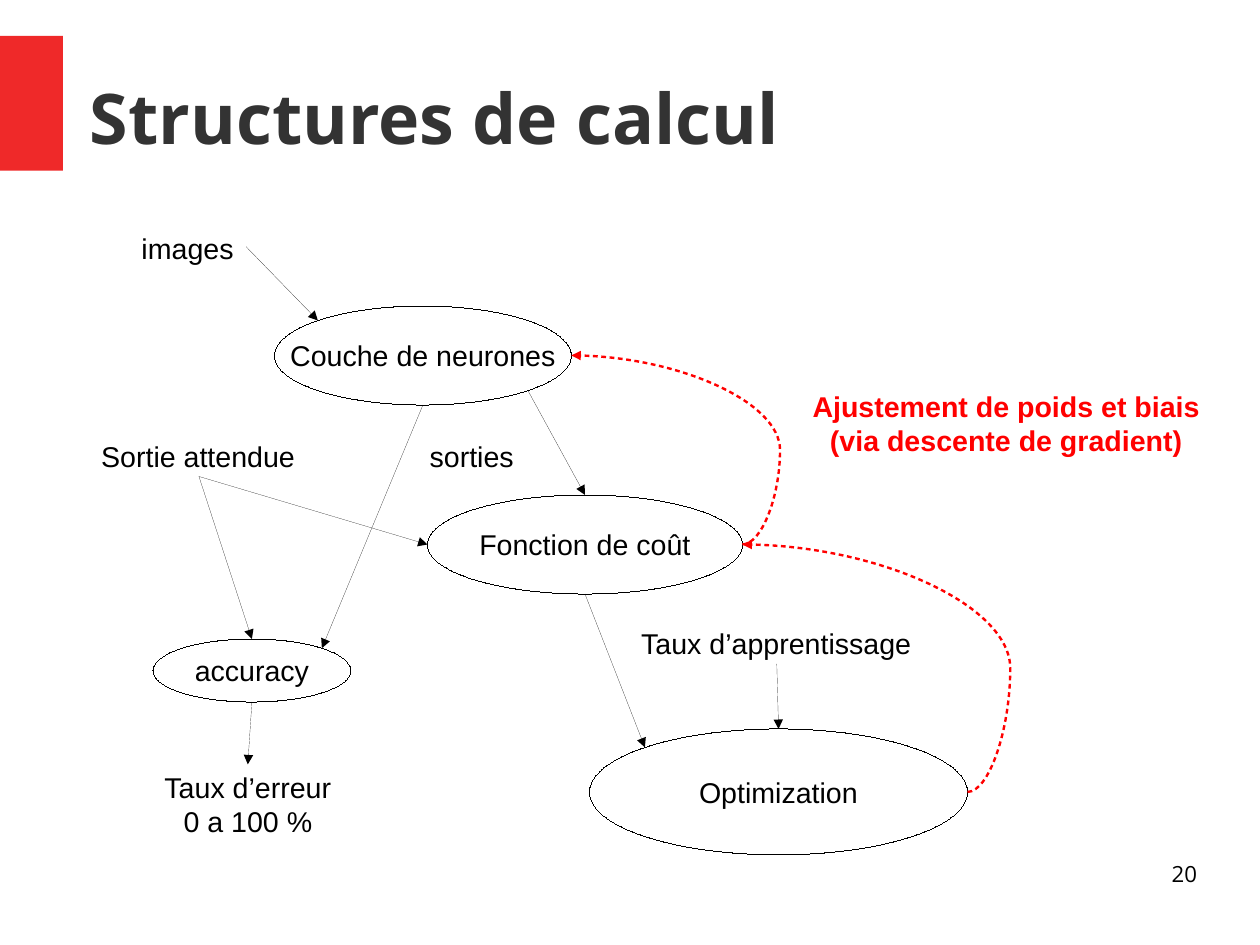
from dataclasses import dataclass
from math import sqrt

from lxml import etree
from pptx import Presentation
from pptx.dml.color import RGBColor
from pptx.enum.shapes import MSO_CONNECTOR, MSO_SHAPE
from pptx.enum.text import MSO_ANCHOR, MSO_AUTO_SIZE, PP_ALIGN
from pptx.oxml.ns import qn
from pptx.util import Cm, Pt

WIDTH, HEIGHT = Cm(28), Cm(21)
STRAIGHT, CURVE = MSO_CONNECTOR.STRAIGHT, MSO_CONNECTOR.CURVE
RECTANGLE, OVAL = MSO_SHAPE.RECTANGLE, MSO_SHAPE.OVAL
MIDDLE, TOP_ANCHOR = MSO_ANCHOR.MIDDLE, MSO_ANCHOR.TOP
LEFT_ALIGN, CENTER, RIGHT_ALIGN = PP_ALIGN.LEFT, PP_ALIGN.CENTER, PP_ALIGN.RIGHT
NO_FIT, GROW = MSO_AUTO_SIZE.NONE, MSO_AUTO_SIZE.SHAPE_TO_FIT_TEXT

# Anchor points, as offsets from the centre in half widths and half heights
DIAGONAL = sqrt(0.5)
TOP, LEFT, BOTTOM, RIGHT = (0, -1), (-1, 0), (0, 1), (1, 0)
TOP_LEFT, TOP_RIGHT = (-DIAGONAL, -DIAGONAL), (DIAGONAL, -DIAGONAL)
BOTTOM_RIGHT = (DIAGONAL, DIAGONAL)
SIDES = [TOP, LEFT, BOTTOM, RIGHT]


@dataclass(frozen=True)
class Theme:
    accent: RGBColor = RGBColor(0xEF, 0x29, 0x29)
    heading: RGBColor = RGBColor(0x33, 0x33, 0x33)
    ink: RGBColor = RGBColor(0, 0, 0)
    feedback: RGBColor = RGBColor(0xFF, 0, 0)
    heading_font: str = "Open Sans"
    body_font: str = "Arial"
    title_size: int = 44
    body_size: int = 18
    number_size: int = 14


THEME = Theme()


def box(left, top, width, height):
    """Turn percentages of the slide into lengths."""
    return (round(WIDTH * left / 100), round(HEIGHT * top / 100),
            round(WIDTH * width / 100), round(HEIGHT * height / 100))


def write(shape, text, size=THEME.body_size, font=THEME.body_font, color=THEME.ink,
          bold=False, align=CENTER, anchor=MIDDLE, wrap=False, fit=NO_FIT):
    frame = shape.text_frame
    frame.text = text
    frame.word_wrap = wrap
    frame.auto_size = fit
    frame.vertical_anchor = anchor
    for paragraph in frame.paragraphs:
        paragraph.alignment = align
        paragraph.font.size = Pt(size)
        paragraph.font.name = font
        paragraph.font.bold = bold
        paragraph.font.color.rgb = color


def clear_margins(shape):
    frame = shape.text_frame
    frame.margin_left = frame.margin_right = frame.margin_top = frame.margin_bottom = 0


def draw_line(shape, color, width):
    """Write the width explicitly, since a zero width is otherwise left to the style."""
    shape.line.color.rgb = color
    shape.line._get_or_add_ln().set("w", str(int(Pt(width))))


def add_title(slide, text, area):
    title = slide.shapes.title
    title.left, title.top, title.width, title.height = area
    clear_margins(title)
    write(title, text, THEME.title_size, THEME.heading_font, THEME.heading,
          bold=True, align=LEFT_ALIGN, wrap=True)


def add_accent_bar(slide, area):
    bar = slide.shapes.add_shape(RECTANGLE, *area)
    bar.shadow.inherit = False
    bar.fill.solid()
    bar.fill.fore_color.rgb = THEME.accent
    bar.line.fill.background()


def add_label(slide, text, area, **style):
    label = slide.shapes.add_textbox(*area)
    write(label, text, anchor=TOP_ANCHOR, fit=GROW, **style)
    return label


def add_step(slide, text, area):
    step = slide.shapes.add_shape(OVAL, *area)
    step.shadow.inherit = False
    step.fill.background()
    draw_line(step, THEME.ink, 0)
    write(step, text)
    return step


def add_page_number(slide, text, area):
    number = slide.shapes.add_textbox(*area)
    clear_margins(number)
    write(number, text, THEME.number_size, THEME.heading_font,
          align=RIGHT_ALIGN, anchor=TOP_ANCHOR, wrap=True)


def point_on(shape, anchor):
    across, down = anchor
    return (round(shape.left + shape.width * (1 + across) / 2),
            round(shape.top + shape.height * (1 + down) / 2))


def add_link(slide, kind, source, source_anchor, target, target_anchor, color, width):
    link = slide.shapes.add_connector(
        kind, *point_on(source, source_anchor), *point_on(target, target_anchor))
    draw_line(link, color, width)
    etree.SubElement(link._element.spPr, qn("a:effectLst"))
    return link


def add_arrowhead(link):
    etree.SubElement(link.line._get_or_add_ln(), qn("a:tailEnd"), type="triangle")


def add_arrow(slide, source, source_anchor, target, target_anchor):
    arrow = add_link(slide, STRAIGHT, source, source_anchor, target, target_anchor,
                     THEME.ink, 0)
    add_arrowhead(arrow)
    ends = ((source, source_anchor, arrow.begin_connect),
            (target, target_anchor, arrow.end_connect))
    for shape, anchor, connect in ends:
        if shape.text_frame.auto_size == GROW:
            connect(shape, SIDES.index(anchor))


def add_feedback(slide, source, target, bulge):
    """Dashed curve between right sides; bulge is a share of its width."""
    curve = add_link(slide, CURVE, source, RIGHT, target, RIGHT, THEME.feedback, 1.5)
    dashes = etree.SubElement(curve.line._get_or_add_ln(), qn("a:custDash"))
    etree.SubElement(dashes, qn("a:ds"), d="200000", sp="150000")
    add_arrowhead(curve)
    geometry = curve._element.spPr.find(qn("a:prstGeom"))
    geometry.set("prst", "curvedConnector3")
    adjustments = geometry.find(qn("a:avLst"))
    if adjustments is None:
        adjustments = etree.SubElement(geometry, qn("a:avLst"))
    etree.SubElement(adjustments, qn("a:gd"), name="adj1",
                     fmla=f"val {round(-bulge * 100000)}")


def main():
    presentation = Presentation()
    presentation.slide_width, presentation.slide_height = WIDTH, HEIGHT
    slide = presentation.slides.add_slide(presentation.slide_layouts[5])

    add_accent_bar(slide, box(0, 3.8, 4.99, 14.27))
    add_title(slide, "Structures de calcul", box(7.14, 3.99, 87.84, 16.69))

    images = add_label(slide, "images", box(10.34, 23.82, 9.2, 4.59), align=LEFT_ALIGN)
    expected = add_label(slide, "Sortie attendue", box(7.14, 45.83, 17.3, 4.59),
                         align=LEFT_ALIGN)
    add_label(slide, "sorties", box(33.21, 45.83, 8.6, 4.59), align=LEFT_ALIGN)
    learning_rate = add_label(slide, "Taux d’apprentissage", box(50, 65.66, 23.3, 4.59),
                              align=LEFT_ALIGN)
    error_rate = add_label(slide, "Taux d’erreur\v0 a 100 %", box(12.14, 80.89, 15.06, 7.98))
    add_label(slide, "Ajustement de poids et biais\n(via descente de gradient)",
              box(63.57, 40.58, 32.58, 7.98), color=THEME.feedback, bold=True)

    layer = add_step(slide, "Couche de neurones", box(21.78, 32.38, 23.57, 10.48))
    cost = add_step(slide, "Fonction de coût", box(33.93, 52.38, 25, 10.48))
    accuracy = add_step(slide, "accuracy", box(12.14, 67.62, 15.71, 6.67))
    optimization = add_step(slide, "Optimization", box(46.79, 77.14, 30, 13.33))

    for ends in (
        (images, RIGHT, layer, TOP_LEFT),
        (layer, BOTTOM_RIGHT, cost, TOP),
        (layer, BOTTOM, accuracy, TOP_RIGHT),
        (expected, BOTTOM, cost, LEFT),
        (expected, BOTTOM, accuracy, TOP),
        (cost, BOTTOM, optimization, TOP_LEFT),
        (accuracy, BOTTOM, error_rate, TOP),
        (learning_rate, BOTTOM, optimization, TOP),
    ):
        add_arrow(slide, *ends)
    add_feedback(slide, optimization, cost, 0.19)
    add_feedback(slide, cost, layer, 0.22)

    add_page_number(slide, "20", box(71.69, 91.05, 23.32, 6.89))
    presentation.save("out.pptx")


if __name__ == "__main__":
    main()
